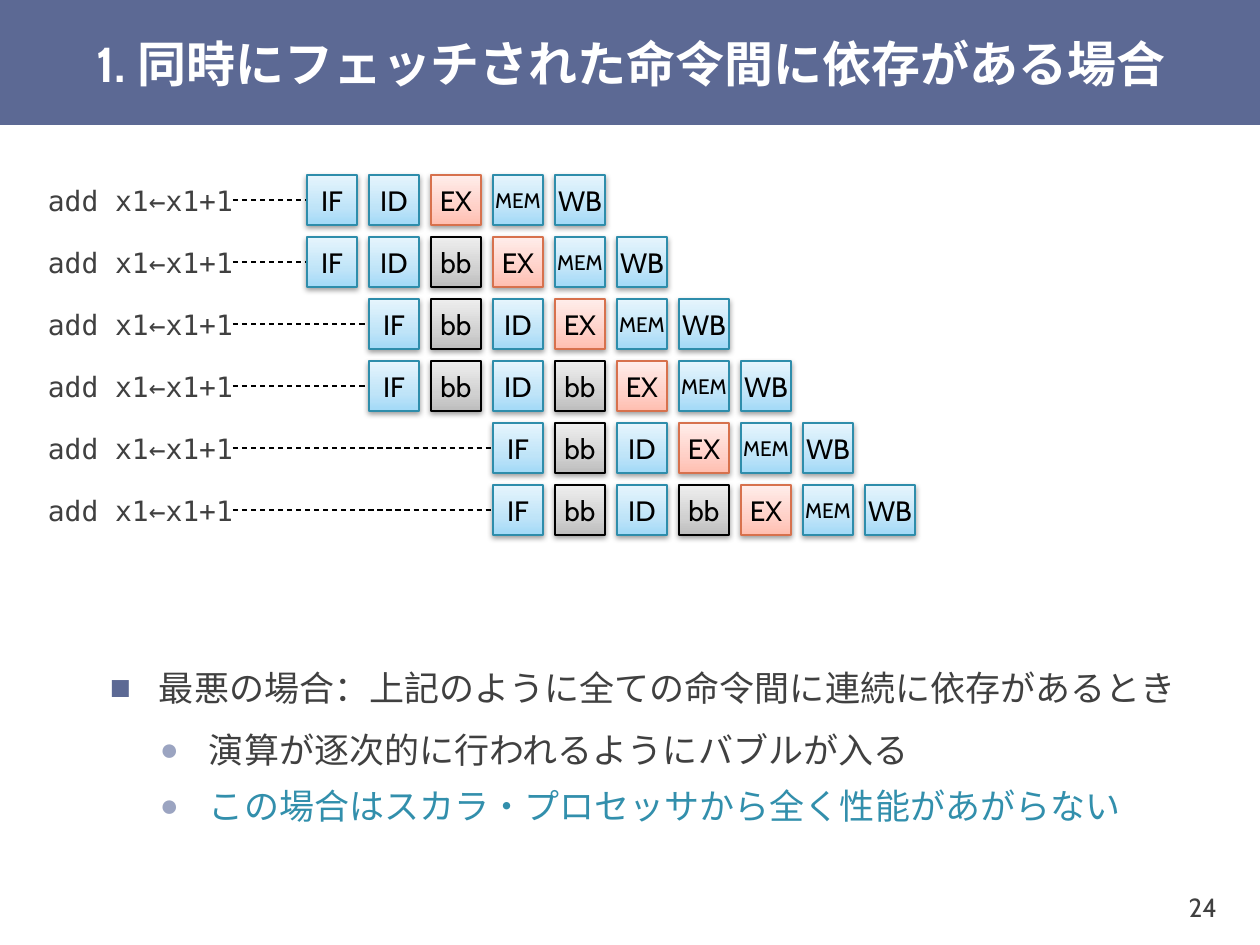
from lxml.etree import SubElement
from pptx import Presentation
from pptx.dml.color import RGBColor
from pptx.enum.dml import MSO_LINE
from pptx.enum.shapes import MSO_CONNECTOR as CONN, MSO_SHAPE as SHAPE
from pptx.enum.text import MSO_ANCHOR as ANCHOR, MSO_AUTO_SIZE as AUTO, PP_ALIGN as ALIGN
from pptx.oxml.ns import qn
from pptx.util import Emu, Pt

# Content
TITLE = "1. 同時にフェッチされた命令間に依存がある場合"
INSTRUCTION = "add x1←x1+1"
PAGE = "24"
# Start cycle and stages of each instruction
PIPELINE = [
    (0, "IF ID EX MEM WB"),
    (0, "IF ID bb EX MEM WB"),
    (1, "IF bb ID EX MEM WB"),
    (1, "IF bb ID bb EX MEM WB"),
    (3, "IF bb ID EX MEM WB"),
    (3, "IF bb ID bb EX MEM WB"),
]
# Level, text, colour
BULLETS = [
    (0, "最悪の場合：上記のように全ての命令間に連続に依存があるとき", "404040"),
    (1, "演算が逐次的に行われるようにバブルが入る", "404040"),
    (1, "この場合はスカラ・プロセッサから全く性能があがらない", "328FAC"),
]
# Per level: mark, mark colour, mark size, left indent, space before, space after
LEVELS = [("■", "5C6994", 100, 49, 24, 6), ("●", "9BA4C1", 90, 99, 3, 3)]

# Outline and gradient, from bottom to top
BLUE = ("2E8DAB", ["A2D9F7", "BFE4F8", "E6F5FD"])
RED = ("D7714D", ["FFBEB0", "FFD0C7", "FFEDEA"])
GREY = ("000000", ["BDBDBD", "D1D1D1", "EEEEEE"])
STAGE_STYLE = {"EX": RED, "bb": GREY}
STOPS = [0, 35, 100]

# Grid in px
GRID_X, GRID_Y, STEP, BOX = 307, 175, 62, 50
LABEL_X, LABEL_W = 133, 100


def px(n):
    return Emu(round(n * 914400 / 126))


def color(hex_text):
    return RGBColor.from_string(hex_text)


def place(sp, x, y, w, h):
    sp.left, sp.top, sp.width, sp.height = px(x), px(y), px(w), px(h)


def write(p, text, size=16, font="Cabin", ink="404040", bold=False, align=ALIGN.LEFT):
    p.alignment = align
    r = p.add_run()
    r.text = text
    r.font.size, r.font.name, r.font.bold = Pt(size), font, bold
    r.font.color.rgb = color(ink)


def frame(sp, margins=(13, 6), wrap=False):
    tf = sp.text_frame
    tf.auto_size, tf.word_wrap, tf.vertical_anchor = AUTO.NONE, wrap, ANCHOR.MIDDLE
    tf.margin_left = tf.margin_right = px(margins[0])
    tf.margin_top = tf.margin_bottom = px(margins[1])
    return tf


def add_label(s, text, x, y, w, h, margins=(0, 0), **fmt):
    sp = s.shapes.add_textbox(px(x), px(y), px(w), px(h))
    write(frame(sp, margins).paragraphs[0], text, align=ALIGN.RIGHT, **fmt)


def add_stage(s, name, x, y):
    outline, shades = STAGE_STYLE.get(name, BLUE)
    sp = s.shapes.add_shape(SHAPE.RECTANGLE, px(x), px(y), px(BOX), px(BOX))
    sp.fill.gradient()
    sp.fill.gradient_angle = 90
    sp.line.color.rgb, sp.line.width = color(outline), Pt(0.75)
    sp.shadow.inherit = False
    spPr = sp._element.spPr
    # Three gradient stops
    stops = spPr.find(".//" + qn("a:gsLst"))
    for old in list(stops):
        stops.remove(old)
    for pos, shade in zip(STOPS, shades):
        gs = SubElement(stops, qn("a:gs"), pos=str(pos * 1000))
        SubElement(gs, qn("a:srgbClr"), val=shade)
    # Soft drop shadow
    shadow = SubElement(spPr.find(qn("a:effectLst")), qn("a:outerShdw"),
                        blurRad="40000", dist="20000", dir="5400000", rotWithShape="0")
    black = SubElement(shadow, qn("a:srgbClr"), val="000000")
    SubElement(black, qn("a:alpha"), val="38000")
    write(frame(sp).paragraphs[0], name, size=12 if name == "MEM" else 16,
          ink="000000", align=ALIGN.CENTER)


def add_leader(s, x1, x2, y):
    line = s.shapes.add_connector(CONN.STRAIGHT, px(x1), px(y), px(x2), px(y))
    line.line.color.rgb, line.line.width = color("000000"), Pt(0.75)
    line.line.dash_style = MSO_LINE.DASH
    SubElement(line._element.spPr, qn("a:effectLst"))


def add_bullet(p, level, text, ink):
    mark, mark_ink, mark_size, indent, before, after = LEVELS[level]
    p.level, p.line_spacing = level, 1.1
    p.space_before, p.space_after = Pt(before), Pt(after)
    write(p, text, size=20, ink=ink)
    pPr = p._p.get_or_add_pPr()
    pPr.set("marL", str(px(indent)))
    pPr.set("indent", str(px(-49)))
    SubElement(SubElement(pPr, qn("a:buClr")), qn("a:srgbClr"), val=mark_ink)
    SubElement(pPr, qn("a:buSzPct"), val=str(mark_size * 1000))
    SubElement(pPr, qn("a:buChar"), char=mark)


def main():
    prs = Presentation()
    prs.slide_width, prs.slide_height = px(1260), px(945)
    s = prs.slides.add_slide(prs.slide_layouts[1])
    title, body = s.placeholders

    # Title on its band
    band = s.shapes.add_shape(SHAPE.RECTANGLE, 0, 0, px(1260), px(125))
    band.fill.solid()
    band.fill.fore_color.rgb = color("5C6994")
    band.line.fill.background()
    band.shadow.inherit = False
    s.shapes._spTree.insert(2, band._element)
    place(title, 84, 0, 1176, 125)
    write(frame(title, (13, 0), wrap=True).paragraphs[0], TITLE, size=28, ink="FFFFFF", bold=True)

    # Bulleted list
    place(body, 97, 683, 1142, 123)
    tf = frame(body, wrap=True)
    for i, bullet in enumerate(BULLETS):
        add_bullet(tf.add_paragraph() if i else tf.paragraphs[0], *bullet)

    # Pipeline chart: label, leader and stages per instruction
    for row, (start, stages) in enumerate(PIPELINE):
        x, y = GRID_X + start * STEP, GRID_Y + row * STEP
        add_label(s, INSTRUCTION, LABEL_X, y, LABEL_W, BOX, font="DejaVu Sans Mono")
        add_leader(s, LABEL_X + LABEL_W, x, y + BOX / 2)
        for col, name in enumerate(stages.split()):
            add_stage(s, name, x + col * STEP, y)

    # Page number
    add_label(s, PAGE, 1126, 869, 100, 76, margins=(9, 5), size=15)
    prs.save("out.pptx")


if __name__ == "__main__":
    main()
